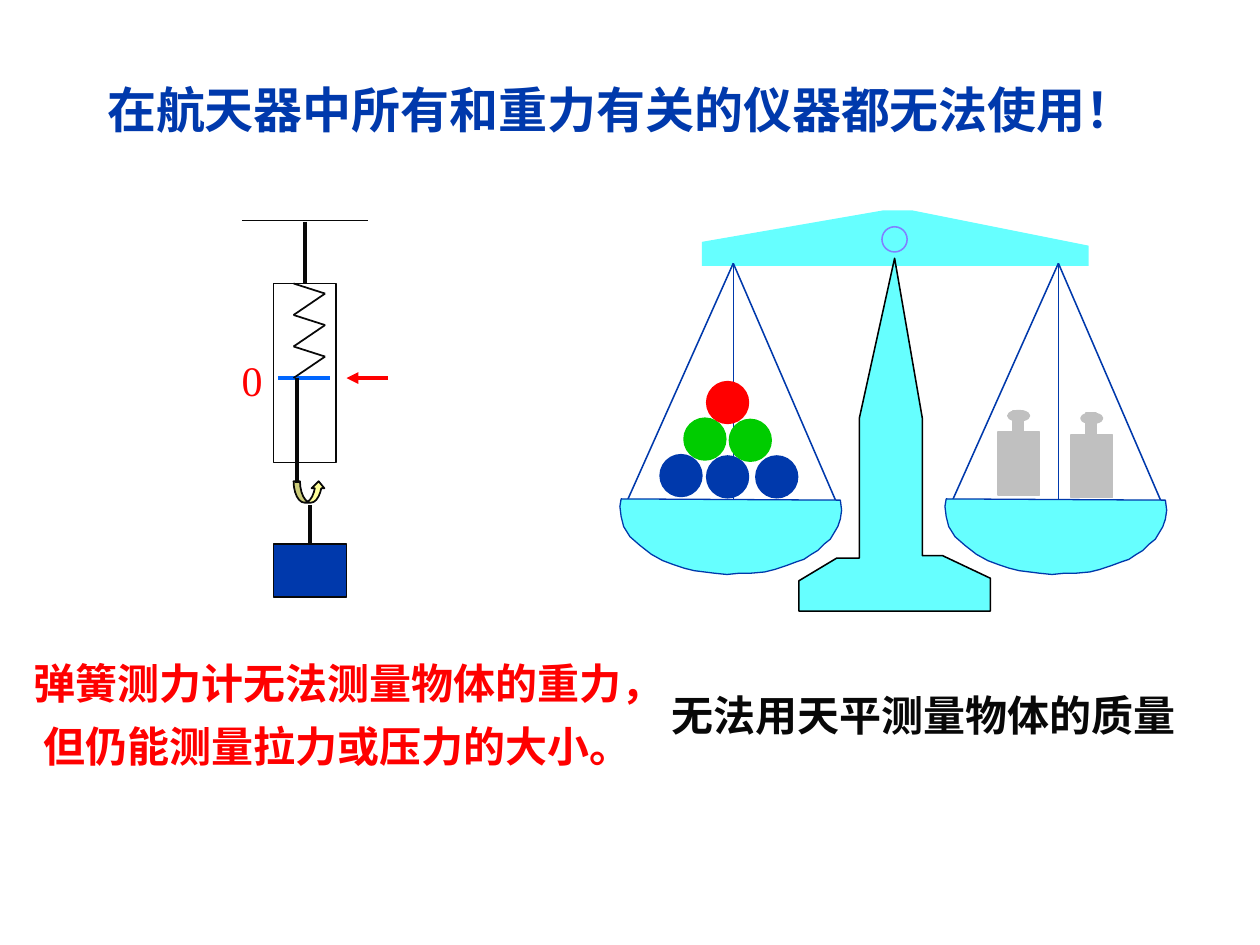
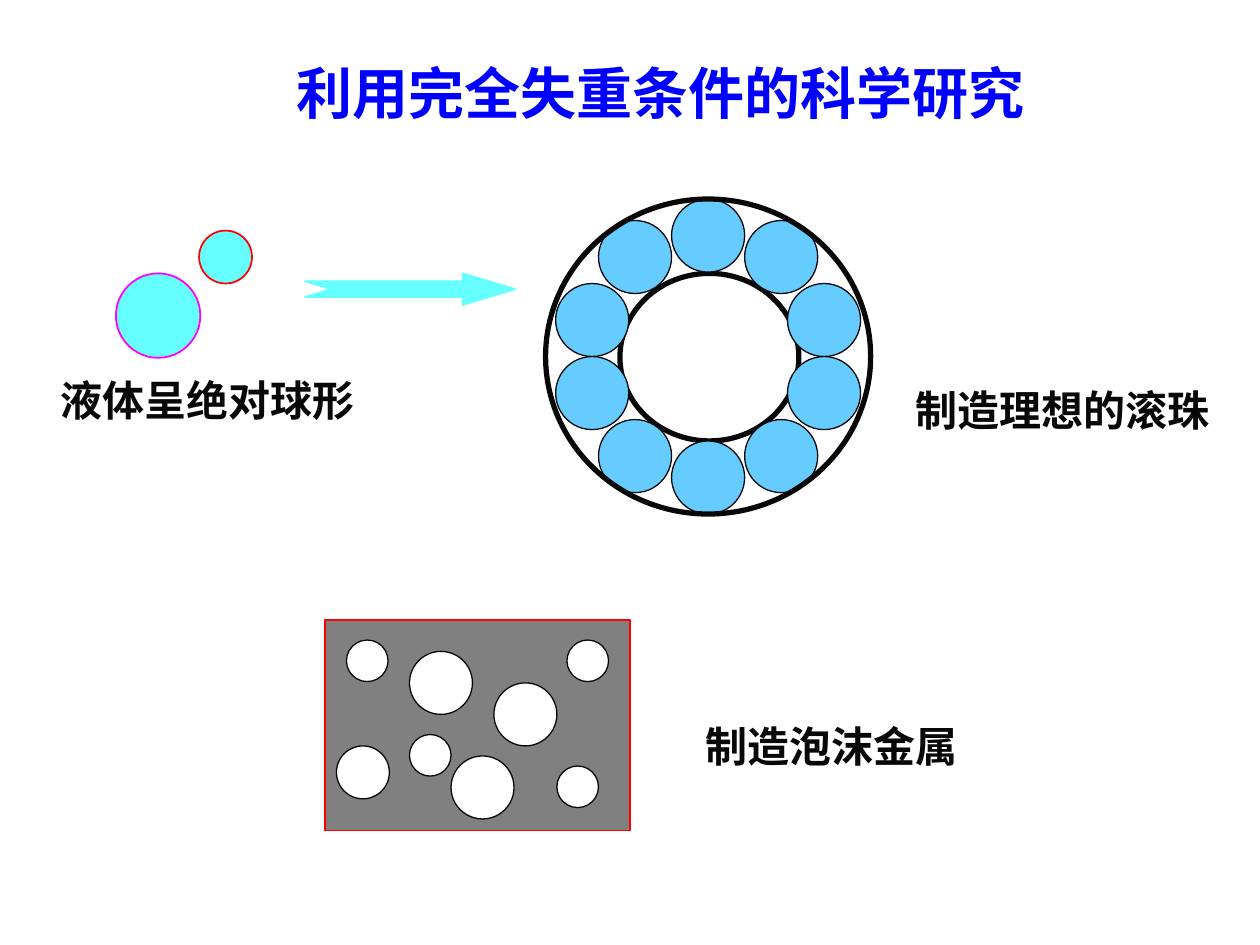
from dataclasses import dataclass
from itertools import pairwise, product

from lxml import etree
from pptx import Presentation
from pptx import util as u
from pptx.dml import color as col
from pptx.enum import shapes as es, text as et
from pptx.oxml import ns


@dataclass(frozen=True)
class Theme:
    font: str = "Times New Roman"
    ink: str = "080808"
    black: str = "000000"
    white: str = "FFFFFF"
    navy: str = "0039AC"
    blue: str = "0000FF"
    mark: str = "0066FF"
    sky: str = "66CCFF"
    aqua: str = "66FFFF"
    red: str = "FF0000"
    pink: str = "FF00FF"
    green: str = "00CC00"
    lilac: str = "8080FF"
    cream: str = "FFFF99"
    silver: str = "C0C0C0"
    grey: str = "808080"
    body: int = 24
    head: int = 28
    big: int = 32
    hair: float = 0.75
    fine: float = 0.88
    thin: float = 1
    bold: float = 2.25
    thick: float = 3


T = Theme()
KIND = es.MSO_SHAPE


def inch(*vals):
    return [u.Inches(v) for v in vals]


class Deck:
    def __init__(self, theme):
        self.theme = theme
        self.prs = Presentation()
        self.prs.slide_width, self.prs.slide_height = inch(10, 7.5)
        self.slide = None

    def page(self, words, box, size, tint):
        """Start a slide and place its title."""
        self.slide = self.prs.slides.add_slide(self.prs.slide_layouts[5])
        title = self.slide.shapes.title
        title.left, title.top, title.width, title.height = inch(*box)
        self.letter(title.text_frame, words, size, tint, True, False)

    def letter(self, frame, words, size, tint, bold, wrap):
        form = {"word_wrap": wrap, "auto_size": et.MSO_AUTO_SIZE.NONE,
                "vertical_anchor": et.MSO_ANCHOR.MIDDLE}
        for key, val in form.items():
            setattr(frame, key, val)
        para = frame.paragraphs[0]
        para.alignment = et.PP_ALIGN.LEFT
        run = para.add_run()
        run.text = words
        for key, val in {"name": self.theme.font, "size": u.Pt(size), "bold": bold}.items():
            setattr(run.font, key, val)
        run.font.color.rgb = col.RGBColor.from_string(tint)

    def label(self, words, box, tint=T.ink, bold=True, wrap=False):
        frame = self.slide.shapes.add_textbox(*inch(*box)).text_frame
        self.letter(frame, words, self.theme.body, tint, bold, wrap)

    def stroke(self, line, tint, width):
        line.color.rgb = col.RGBColor.from_string(tint)
        line.width = u.Pt(width)

    def paint(self, item, fill, tint, width):
        item.shadow.inherit = False
        if fill:
            item.fill.solid()
            item.fill.fore_color.rgb = col.RGBColor.from_string(fill)
        else:
            item.fill.background()
        if tint:
            self.stroke(item.line, tint, width)
        else:
            item.line.fill.background()
        return item

    def shape(self, kind, box, fill=None, tint=T.ink, width=T.thin):
        item = self.slide.shapes.add_shape(kind, *inch(*box))
        return self.paint(item, fill, tint, width)

    def disc(self, x, y, size, fill, tint=T.ink, width=T.hair):
        return self.shape(KIND.OVAL, (x, y, size, size), fill, tint, width)

    def form(self, pts, fill, tint=None, width=T.fine):
        first, *rest = [inch(*pt) for pt in pts]
        pen = self.slide.shapes.build_freeform(*first)
        pen.add_line_segments(rest, close=True)
        return self.paint(pen.convert_to_shape(), fill, tint, width)

    def line(self, start, end, tint=T.ink, width=T.thin, arrow=False, top=None):
        """Draw a line; it ends on the top side of the shape `top`, if given."""
        item = self.slide.shapes.add_connector(
            es.MSO_CONNECTOR.STRAIGHT, *inch(*start, *end))
        if top is not None:
            item.end_connect(top, 0)
        self.stroke(item.line, tint, width)
        spot = item.element.spPr
        if arrow:
            etree.SubElement(spot.find(ns.qn("a:ln")), ns.qn("a:tailEnd"), type="triangle")
        etree.SubElement(spot, ns.qn("a:effectLst"))


def spring(deck):
    deck.line((2.21, 3), (2.62, 3), T.mark, T.bold)
    deck.line((1.92, 1.75), (2.92, 1.75))
    case = deck.shape(KIND.RECTANGLE, (2.17, 2.25, 0.5, 1.42))
    # Coil
    turns = [(x, 2.25 + 0.25 * i + dy) for i in range(3) for x, dy in ((2.33, 0), (2.58, 0.08))]
    for start, end in pairwise(turns + [(2.33, 3)]):
        deck.line(start, end)
    deck.line((2.42, 1.76), (2.42, 2.25), width=T.bold, top=case)
    # Load, hook and rod
    load = deck.shape(KIND.RECTANGLE, (2.17, 4.32, 0.58, 0.42), T.navy)
    deck.line((2.46, 4.01), (2.46, 4.32), width=T.bold, top=load)
    hook = deck.shape(KIND.CURVED_DOWN_ARROW, (2.33, 3.82, 0.25, 0.17), T.cream)
    hook.element.spPr.xfrm.set("flipV", "1")
    for i, val in enumerate((0.3, 0.6, 0.33)):
        hook.adjustments[i] = val
    deck.line((2.36, 3), (2.36, 3.83), width=T.bold)
    # Zero mark
    deck.label("0", (1.82, 2.76, 0.37, 0.5), T.red, bold=False)
    deck.line((3.08, 3), (2.75, 3), T.red, T.bold, arrow=True)


# Pan outline, measured from the point where its strings hang
PAN = [(-0.89, 1.87), (-0.9, 1.93), (-0.89, 2.01), (-0.87, 2.09), (-0.82, 2.17),
       (-0.74, 2.24), (-0.65, 2.31), (-0.56, 2.36), (-0.48, 2.39), (-0.39, 2.42),
       (-0.31, 2.44), (-0.15, 2.46), (-0.05, 2.47), (0.05, 2.46), (0.14, 2.46),
       (0.25, 2.45), (0.33, 2.43), (0.42, 2.4), (0.5, 2.37), (0.56, 2.35),
       (0.62, 2.31), (0.67, 2.28), (0.72, 2.23), (0.77, 2.19), (0.8, 2.14),
       (0.83, 2.09), (0.85, 2.03), (0.86, 1.96), (0.85, 1.88)]


def scales(deck):
    # Beam, pivot and stand
    deck.form([(5.57, 2.11), (8.64, 2.11), (8.64, 1.95), (7.24, 1.67),
               (7.01, 1.67), (5.57, 1.92)], T.aqua)
    deck.disc(7, 1.8, 0.2, T.aqua, T.lilac, T.fine)
    deck.form([(7.1, 2.05), (7.32, 3.32), (7.32, 4.41), (7.48, 4.41), (7.86, 4.59),
               (7.86, 4.85), (6.34, 4.85), (6.34, 4.61), (6.64, 4.43),
               (6.82, 4.43), (6.82, 3.32)], T.aqua, T.black)
    # Strings and pans
    for x, y in ((5.82, 2.09), (8.4, 2.09)):
        for dx, dy in ((0.82, 1.9), (0, 1.88), (-0.84, 1.88)):
            deck.line((x, y), (x + dx, y + dy), T.navy, T.fine)
        deck.form([(x + dx, y + dy) for dx, dy in PAN], T.aqua, T.navy, T.hair)
    # Weights
    for x, y in ((8.5, 3.28), (7.92, 3.26)):
        for kind, dx, dy, w, h in ((KIND.RECTANGLE, 0, 0.17, 0.33, 0.5),
                                   (KIND.RECTANGLE, 0.12, 0, 0.08, 0.17),
                                   (KIND.OVAL, 0.08, 0, 0.17, 0.08)):
            deck.shape(kind, (x + dx, y + dy, w, h), T.silver, T.silver)
    # Stack of balls
    stack = {T.navy: [(5.61, 3.62), (5.24, 3.61), (6, 3.62)],
             T.green: [(5.79, 3.33), (5.43, 3.32)],
             T.red: [(5.61, 3.03)]}
    for tint, spots in stack.items():
        for x, y in spots:
            deck.disc(x, y, 0.33, tint, tint, T.thin)


def bearing(deck):
    x, y, size = 5.62, 2.83, 0.58
    deck.shape(KIND.OVAL, (4.92, 2.17, 1.42, 1.33), width=T.thick)
    # Balls, mirrored about both axes
    for dx, dy in ((0, 0.96), (0.58, 0.79), (0.92, 0.29)):
        for sx, sy in product((-1, 1) if dx else (1,), (-1, 1)):
            deck.disc(x + sx * dx - size / 2, y + sy * dy - size / 2, size, T.sky)
    deck.shape(KIND.OVAL, (4.33, 1.58, 2.58, 2.5), width=T.thick)


def foam(deck):
    deck.shape(KIND.RECTANGLE, (2.58, 4.92, 2.42, 1.67), T.grey, T.red, T.hair)
    holes = {0.33: [(3.25, 5.83), (4.42, 6.08), (4.5, 5.08), (2.75, 5.08)],
             0.42: [(2.67, 5.92)],
             0.5: [(3.25, 5.17), (3.58, 6), (3.92, 5.42)]}
    for size, spots in holes.items():
        for x, y in spots:
            deck.disc(x, y, size, T.white)


def main():
    deck = Deck(T)

    # Slide 1: tools that need weight
    deck.page("在航天器中所有和重力有关的仪器都无法使用！", (0.75, 0.58, 8.4, 0.57), T.head, T.navy)
    spring(deck)
    deck.label("弹簧测力计无法测量物体的重力，", (0.17, 5.17, 5.33, 0.5), T.red, wrap=True)
    deck.label("无法用天平测量物体的质量", (5.23, 5.42, 4.52, 0.5), wrap=True)
    scales(deck)
    deck.label("但仍能测量拉力或压力的大小。", (0.25, 5.67, 5, 0.5), T.red, wrap=True)

    # Slide 2: research in free fall
    deck.page("利用完全失重条件的科学研究", (2.25, 0.42, 6, 0.63), T.big, T.blue)
    deck.disc(0.92, 2.17, 0.67, T.aqua, T.pink, T.thin)
    deck.disc(1.58, 1.83, 0.42, T.aqua, T.red, T.thin)
    arrow = deck.shape(KIND.NOTCHED_RIGHT_ARROW, (2.42, 2.17, 1.67, 0.25), T.aqua, T.aqua)
    arrow.adjustments[0], arrow.adjustments[1] = 0.5, 1.67
    bearing(deck)
    deck.label("液体呈绝对球形", (0.38, 2.92, 2.55, 0.5))
    deck.label("制造理想的滚珠", (7.17, 3, 2.55, 0.5))
    foam(deck)
    deck.label("制造泡沫金属", (5.5, 5.67, 2.21, 0.5))

    deck.prs.save("out.pptx")


if __name__ == "__main__":
    main()
